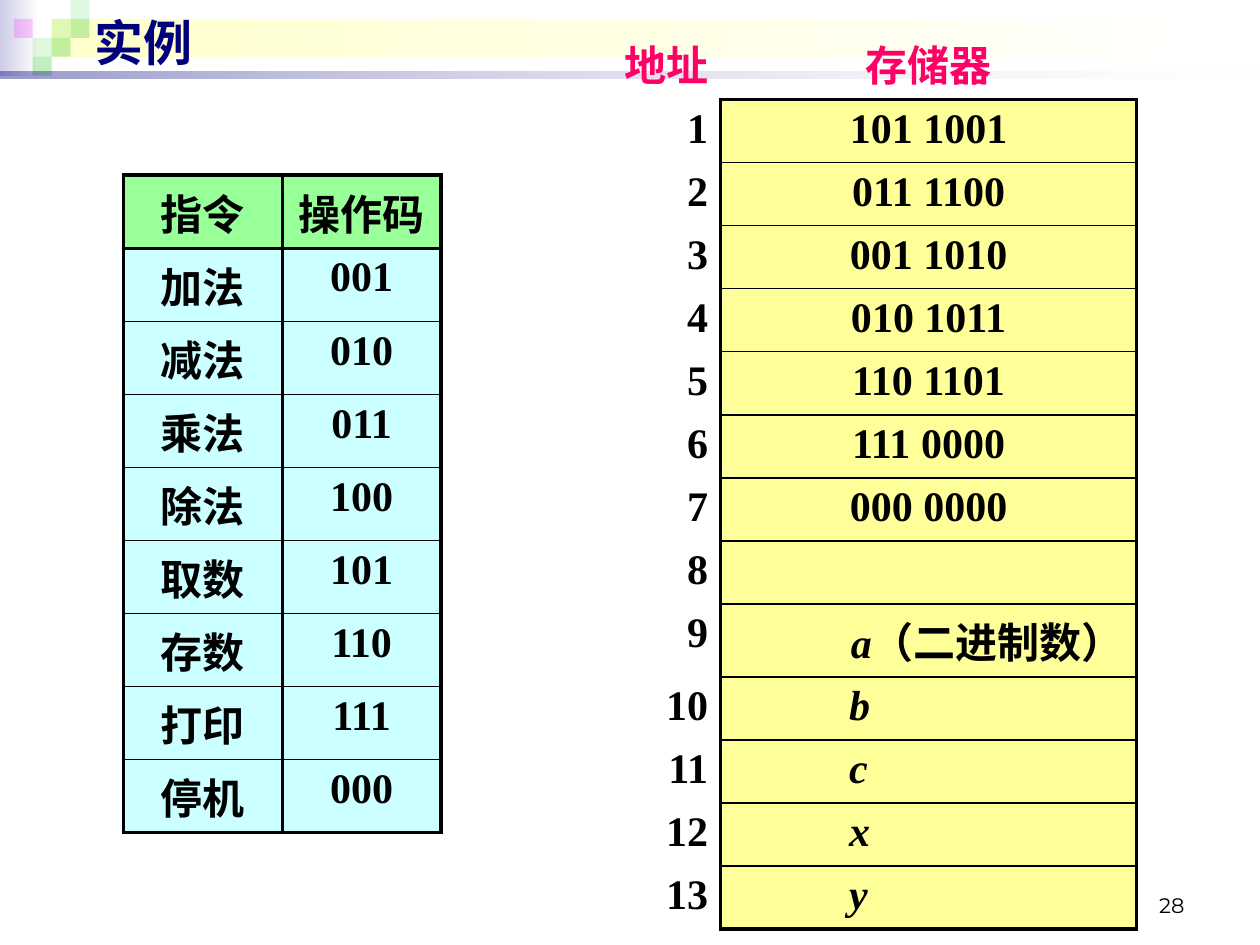
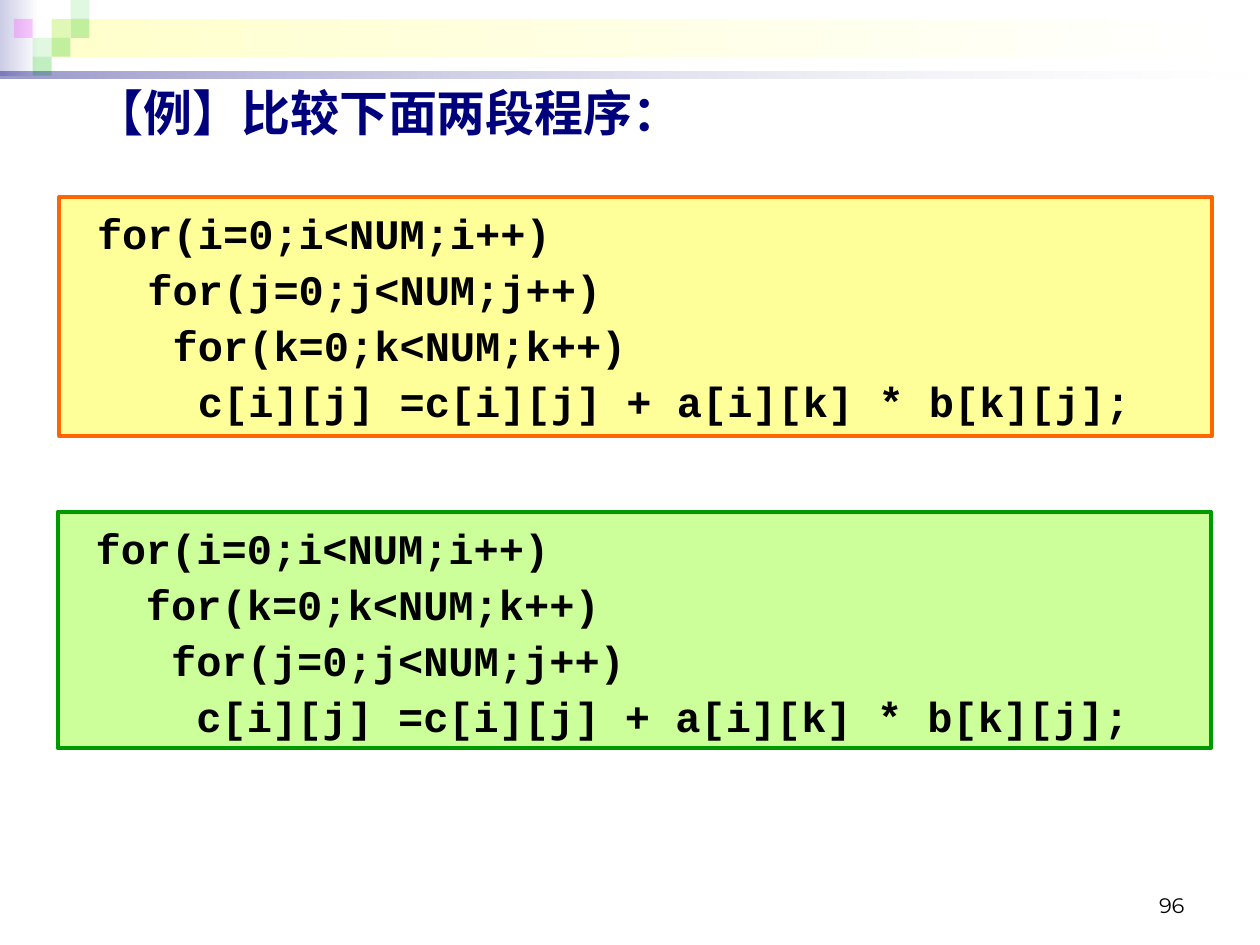
"""Build two course slides: a stored-program example and two loop orders compared."""
from pptx import Presentation
from pptx.dml.color import RGBColor
from pptx.enum.shapes import MSO_SHAPE as Shape
from pptx.enum.text import MSO_ANCHOR as Anchor, MSO_AUTO_SIZE as AutoSize, PP_ALIGN as Align
from pptx.oxml.ns import qn
from pptx.util import Inches, Pt
from lxml.etree import SubElement

WIDTH, HEIGHT = 10, 7.5
NAVY, BLACK, WHITE, PINK = "00007D", "000000", "FFFFFF", "FF0066"
YELLOW, GREEN, AQUA, LIME = "FFFF99", "99FF99", "CCFFFF", "CCFF99"
TABLE_FONT, CODE_FONT = "Times New Roman", "Courier New"
THICK, THIN = 2.25, 1
PLAIN_TABLE = "{2D5ABB26-0587-4C30-8999-92F81FD0307C}"

SQUARE = 0.15
MOSAIC_LEFT = 0.11
MOSAIC = [
    (2, 1, "33CC33", 15), (3, 0, "33CC33", 15), (3, 1, "33CC33", 30),
    (1, 2, "33CC33", 15), (0, 1, "FF00FF", 20), (2, 2, "33CC33", 30),
    (1, 3, "33CC33", 30),
]
SIDE_BAND = ((0, 0, 0.31, 0.6), ("CCCCE6", WHITE), (100, 100))
TITLE_BAND = ((0.41, 0.15, 9.55, 0.3), ("FFFFCC", WHITE), (100, 100))
RULE_BAND = ((0, 0.57, WIDTH, 0.05), (NAVY, WHITE), (40, 10))

OPCODES = [
    ("指令", "操作码"), ("加法", "001"), ("减法", "010"), ("乘法", "011"),
    ("除法", "100"), ("取数", "101"), ("存数", "110"), ("打印", "111"),
    ("停机", "000"),
]
MEMORY_HEAD = ("地址", "存储器")
PROGRAM = ["101 1001", "011 1100", "001 1010", "010 1011", "110 1101",
           "111 0000", "000 0000", ""]
FIRST_VARIABLE, VARIABLE_NOTE = "a", "（二进制数）"
OTHER_VARIABLES = ["b", "c", "x", "y"]

LAST_CODE_LINE = "     c[i][j] =c[i][j] + a[i][k] * b[k][j];"
LOOPS = [
    ("ijk", YELLOW, "FF6600", (0.47, 1.56, 9.15, 1.9)),
    ("ikj", LIME, "009900", (0.46, 4.06, 9.15, 1.88)),
]
LOOP_INDENTS = (1, 3, 4)


def color(hex_text):
    return RGBColor.from_string(hex_text)


def inches(lengths):
    return [Inches(length) for length in lengths]


def style(paragraph, font_name, size, hex_text, bold=True, align=Align.LEFT):
    paragraph.alignment = align
    font = paragraph.font
    font.name, font.size, font.bold = font_name, Pt(size), bold
    font.color.rgb = color(hex_text)


def set_alphas(shape, alphas):
    for node, alpha in zip(shape.element.iter(qn("a:srgbClr")), alphas):
        SubElement(node, qn("a:alpha")).set("val", str(alpha * 1000))


def add_rectangle(page, place):
    shape = page.shapes.add_shape(Shape.RECTANGLE, *inches(place))
    shape.shadow.inherit = False
    return shape


def add_band(page, place, hexes, alphas):
    band = add_rectangle(page, place)
    band.line.fill.background()
    band.fill.gradient()
    band.fill.gradient_angle = 0
    for stop, hex_text in zip(band.fill.gradient_stops, hexes):
        stop.color.rgb = color(hex_text)
    set_alphas(band, alphas)
    return band


def add_square(page, column, row, hex_text, alpha):
    place = (MOSAIC_LEFT + column * SQUARE, row * SQUARE, SQUARE, SQUARE)
    square = add_rectangle(page, place)
    square.line.fill.background()
    square.fill.solid()
    square.fill.fore_color.rgb = color(hex_text)
    set_alphas(square, [alpha])
    return square


def decorate_master(deck, page):
    parts = [add_band(page, *SIDE_BAND), add_band(page, *TITLE_BAND)]
    parts += [add_square(page, *square) for square in MOSAIC]
    parts.append(add_band(page, *RULE_BAND))
    tree = deck.slide_master.shapes.element
    for position, part in enumerate(parts, start=2):
        tree.insert(position, part.element)


def add_page(deck, layout, title, title_top, number):
    page = deck.slides.add_slide(deck.slide_layouts[layout])
    box = page.shapes.title
    box.left, box.top, box.width, box.height = inches((0.65, title_top, 9, 0.57))
    frame = box.text_frame
    frame.text = title
    frame.auto_size, frame.vertical_anchor = AutoSize.NONE, Anchor.MIDDLE
    style(frame.paragraphs[0], "Arial", 28, NAVY)
    frame = page.shapes.add_textbox(*inches((7.17, 6.83, 2.33, 0.5))).text_frame
    frame.word_wrap, frame.vertical_anchor = True, Anchor.BOTTOM
    frame.text = number
    style(frame.paragraphs[0], "Montserrat", 12, BLACK, False, Align.RIGHT)
    return page


def add_grid(page, left, top, widths, heights):
    place = inches((left, top, sum(widths), sum(heights)))
    holder = page.shapes.add_table(len(heights), len(widths), *place)
    next(holder.element.iter(qn("a:tableStyleId"))).text = PLAIN_TABLE
    table = holder.table
    table.first_row = table.horz_banding = False
    for column, width in zip(table.columns, widths):
        column.width = Inches(width)
    for row, height in zip(table.rows, heights):
        row.height = Inches(height)
    return table


def fill_cell(cell, text, align, hex_text=BLACK, fill=None, **borders):
    cell.text = text
    style(cell.text_frame.paragraphs[0], TABLE_FONT, 24, hex_text, align=align)
    properties = cell._tc.get_or_add_tcPr()
    for side in "LRTB":
        if side in borders:
            line = SubElement(properties, qn(f"a:ln{side}"), w=str(Pt(borders[side])))
            paint = SubElement(line, qn("a:solidFill"))
            SubElement(paint, qn("a:srgbClr"), val=BLACK)
    if fill:
        cell.fill.solid()
        cell.fill.fore_color.rgb = color(fill)


def add_memory(page):
    words = PROGRAM + [FIRST_VARIABLE] + OTHER_VARIABLES
    heights = [0.58] + [0.58 if word == FIRST_VARIABLE else 0.47 for word in words]
    table = add_grid(page, 4.76, 0.21, (0.96, 3.3), heights)
    fill_cell(table.cell(0, 0), MEMORY_HEAD[0], Align.RIGHT, PINK)
    fill_cell(table.cell(0, 1), MEMORY_HEAD[1], Align.CENTER, PINK, B=THICK)
    for address, word in enumerate(words, start=1):
        fill_cell(table.cell(address, 0), str(address), Align.RIGHT, fill=WHITE, R=THICK)
        cell = table.cell(address, 1)
        align = Align.CENTER
        if word == FIRST_VARIABLE:
            align = Align.RIGHT
        elif word in OTHER_VARIABLES:
            align = Align.LEFT
            cell.margin_left = Inches(1.02)
        fill_cell(cell, word, align, fill=YELLOW, L=THICK, R=THICK,
                  T=THICK if address == 1 else THIN,
                  B=THICK if address == len(words) else THIN)
        paragraph = cell.text_frame.paragraphs[0]
        if address > len(PROGRAM):
            paragraph.runs[0].font.italic = True
        if word == FIRST_VARIABLE:
            paragraph.add_run().text = VARIABLE_NOTE


def add_opcodes(page):
    last = len(OPCODES) - 1
    table = add_grid(page, 0.98, 1.39, (1.26, 1.26), [0.58] * len(OPCODES))
    for row, pair in enumerate(OPCODES):
        for column, text in enumerate(pair):
            fill_cell(table.cell(row, column), text, Align.CENTER,
                      fill=AQUA if row else GREEN, L=THICK, R=THICK,
                      T=THICK if row < 2 else THIN,
                      B=THICK if row in (0, last) else THIN)


def fill_code(box, order, fill, border, place):
    box.left, box.top, box.width, box.height = inches(place)
    box.fill.solid()
    box.fill.fore_color.rgb = color(fill)
    box.line.color.rgb = color(border)
    box.line.width = Pt(THICK)
    frame = box.text_frame
    frame.word_wrap, frame.auto_size = True, AutoSize.NONE
    frame.vertical_anchor, frame.margin_top = Anchor.TOP, Inches(0.13)
    lines = [" " * indent + f"for({name}=0;{name}<NUM;{name}++)"
             for indent, name in zip(LOOP_INDENTS, order)]
    frame.text = "\n".join(lines + [LAST_CODE_LINE])
    for index, paragraph in enumerate(frame.paragraphs):
        properties = paragraph._p.get_or_add_pPr()
        properties.set("marL", "0")
        properties.set("indent", "0")
        SubElement(properties, qn("a:buNone"))
        paragraph.line_spacing = 0.9
        paragraph.space_before = Pt(6.2 if index else 0)
        style(paragraph, CODE_FONT, 24, BLACK)


def main():
    deck = Presentation()
    deck.slide_width, deck.slide_height = inches((WIDTH, HEIGHT))

    example = add_page(deck, 5, "实例", 0.05, "28")
    decorate_master(deck, example)
    add_memory(example)
    add_opcodes(example)

    comparison = add_page(deck, 1, "【例】比较下面两段程序：", 0.6, "96")
    boxes = [comparison.placeholders[1], add_rectangle(comparison, LOOPS[1][3])]
    for box, loop in zip(boxes, LOOPS):
        fill_code(box, *loop)

    deck.save("out.pptx")


if __name__ == "__main__":
    main()
